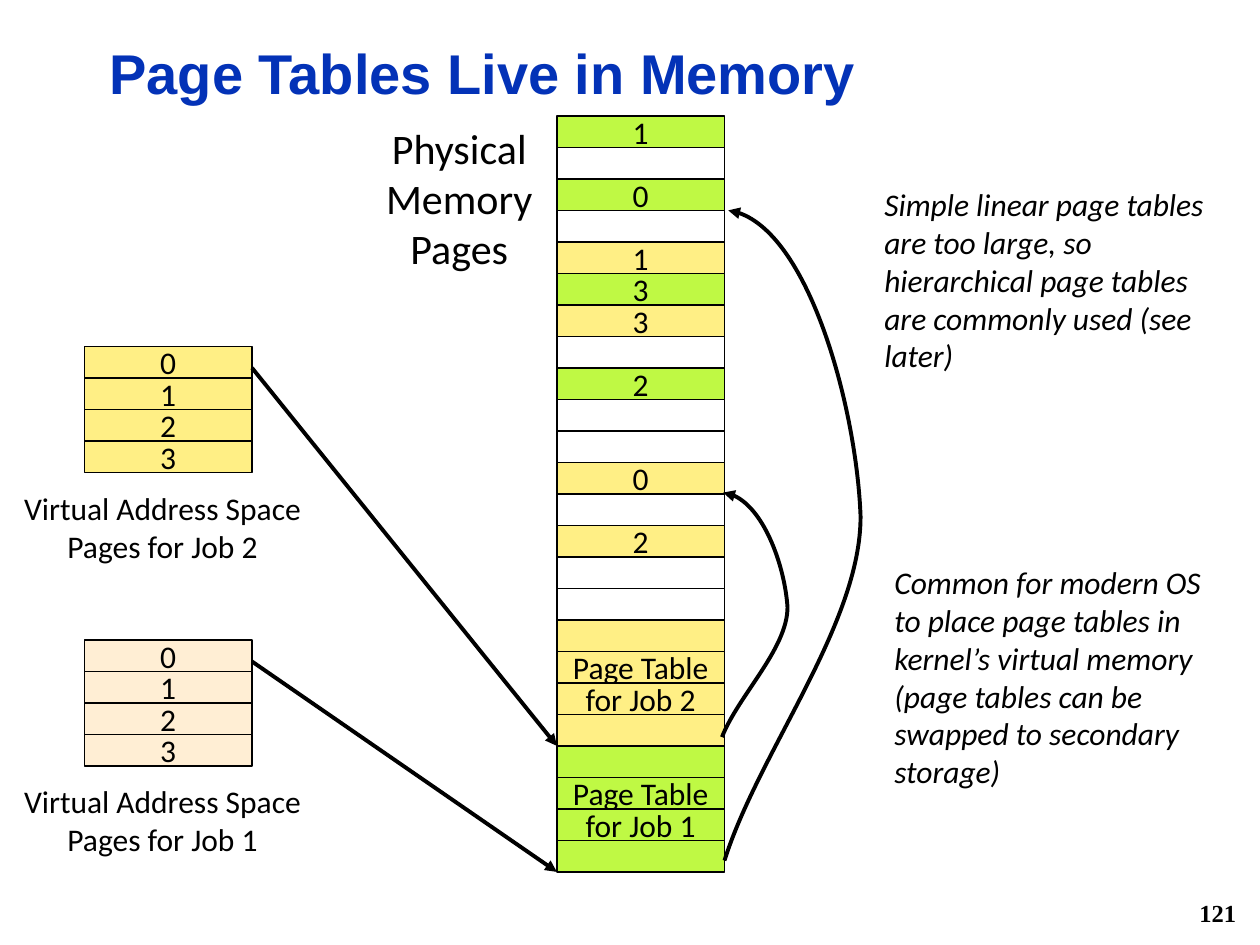
from dataclasses import dataclass

from lxml.etree import SubElement
from pptx import Presentation
from pptx.dml.color import RGBColor
from pptx.enum.shapes import MSO_CONNECTOR, MSO_SHAPE
from pptx.enum.text import MSO_ANCHOR, PP_ALIGN
from pptx.oxml.ns import qn
from pptx.util import Inches, Pt


@dataclass(frozen=True)
class Theme:
    black: RGBColor = RGBColor(0x00, 0x00, 0x00)
    white: RGBColor = RGBColor(0xFF, 0xFF, 0xFF)
    title: RGBColor = RGBColor(0x03, 0x32, 0xB7)
    job_1: RGBColor = RGBColor(0xBF, 0xF9, 0x44)
    job_2: RGBColor = RGBColor(0xFF, 0xEF, 0x85)
    job_1_virtual: RGBColor = RGBColor(0xFF, 0xEE, 0xD4)
    body_font: str = "Calibri"
    title_size: Pt = Pt(32)
    heading_size: Pt = Pt(24)
    body_size: Pt = Pt(18)
    number_size: Pt = Pt(14)
    cell_line: Pt = Pt(1)
    arrow_line: Pt = Pt(2.25)


THEME = Theme()
PAGE_WIDTH, PAGE_HEIGHT = 1.33, 0.25
MEMORY_LEFT, MEMORY_TOP = 4.42, 0.92
FREE = ("", THEME.white)
MEMORY_PAGES = [
    ("1", THEME.job_1), FREE, ("0", THEME.job_1), FREE,
    ("1", THEME.job_2), ("3", THEME.job_1), ("3", THEME.job_2), FREE,
    ("2", THEME.job_1), FREE, FREE, ("0", THEME.job_2),
    FREE, ("2", THEME.job_2), FREE, FREE,
]


def write_text(shape, lines, alignment=PP_ALIGN.LEFT, line_spacing=None, **font_format):
    values = {"name": THEME.body_font, "size": THEME.body_size, **font_format}
    color = values.pop("color", THEME.black)
    frame = shape.text_frame
    frame.text = "\n".join(lines)
    for paragraph in frame.paragraphs:
        paragraph.alignment = alignment
        paragraph.line_spacing = line_spacing
        paragraph.font.color.rgb = color
        for name, value in values.items():
            setattr(paragraph.font, name, value)


def add_text(slide, box, lines, anchor=MSO_ANCHOR.TOP, **text_format):
    shape = slide.shapes.add_textbox(*map(Inches, box))
    shape.text_frame.word_wrap = True
    shape.text_frame.vertical_anchor = anchor
    write_text(shape, lines, **text_format)


def add_pages(shapes, left, top, pages):
    """Stack one bordered page per (label, fill) pair downwards from left, top."""
    for index, (label, fill) in enumerate(pages):
        box = (left, top + index * PAGE_HEIGHT, PAGE_WIDTH, PAGE_HEIGHT)
        shape = shapes.add_shape(MSO_SHAPE.RECTANGLE, *map(Inches, box))
        shape.shadow.inherit = False
        shape.fill.solid()
        shape.fill.fore_color.rgb = fill
        shape.line.color.rgb = THEME.black
        shape.line.width = THEME.cell_line
        if label:
            frame_format = {"margin_left": 0, "margin_right": 0, "margin_top": 0,
                            "margin_bottom": 0, "word_wrap": False,
                            "vertical_anchor": MSO_ANCHOR.MIDDLE}
            for name, value in frame_format.items():
                setattr(shape.text_frame, name, value)
            write_text(shape, [label], PP_ALIGN.CENTER)


def add_virtual_space(slide, left, top, job, fill):
    pages = [(str(number), fill) for number in range(4)]
    add_pages(slide.shapes.add_group_shape().shapes, left, top, pages)
    add_text(slide, (left - 0.59, top + 1.08, 2.42, 0.7),
             [f"Virtual Address Space Pages for Job {job}"], alignment=PP_ALIGN.CENTER)


def add_physical_memory(slide, left, top):
    add_text(slide, (left - 1.67, top, 1.79, 1.31), ["Physical Memory", "Pages"],
             alignment=PP_ALIGN.CENTER, size=THEME.heading_size)
    add_pages(slide.shapes, left, top, MEMORY_PAGES)
    table_top = top + len(MEMORY_PAGES) * PAGE_HEIGHT
    for job, fill in ((2, THEME.job_2), (1, THEME.job_1)):
        labels = ["", "Page Table", f"for Job {job}", ""]
        add_pages(slide.shapes.add_group_shape().shapes, left, table_top,
                  [(label, fill) for label in labels])
        table_top += len(labels) * PAGE_HEIGHT


def style_arrow(shape):
    shape.line.color.rgb = THEME.black
    shape.line.width = THEME.arrow_line
    SubElement(shape.line._get_or_add_ln(), qn("a:tailEnd"), type="triangle")


def add_straight_arrow(slide, start, end):
    connector = slide.shapes.add_connector(
        MSO_CONNECTOR.STRAIGHT, *map(Inches, (*start, *end)))
    style_arrow(connector)
    SubElement(connector._element.spPr, qn("a:effectLst"))


def add_curved_arrow(slide, start, *controls):
    """Draw cubic curves; each three controls are two handles and an end point."""
    points = [(Inches(x), Inches(y)) for x, y in controls]
    builder = slide.shapes.build_freeform(*map(Inches, start))
    builder.add_line_segments(points, close=False)
    shape = builder.convert_to_shape()
    segments = list(shape._element.iter(qn("a:lnTo")))
    for first in range(0, len(segments), 3):
        curve = SubElement(segments[first].getparent(), qn("a:cubicBezTo"))
        for segment in segments[first:first + 3]:
            curve.append(segment[0])
            segment.getparent().remove(segment)
    shape.shadow.inherit = False
    shape.fill.background()
    style_arrow(shape)


def add_arrows(slide):
    add_straight_arrow(slide, (2, 2.92), (MEMORY_LEFT, 5.92))
    add_straight_arrow(slide, (2, 5.25), (MEMORY_LEFT, 6.92))
    add_curved_arrow(slide, (5.73, 5.85), (5.86, 5.52), (6.25, 5.15), (6.25, 4.82),
                     (6.23, 4.51), (6.04, 3.94), (5.74, 3.91))
    add_curved_arrow(slide, (5.75, 6.83), (6.02, 5.97), (6.83, 4.96), (6.83, 4.1),
                     (6.8, 3.26), (6.4, 1.75), (5.78, 1.67))


def add_notes_column(slide):
    add_text(slide, (6.92, 1.42, 2.75, 1.61),
             ["Simple linear page tables are too large, so hierarchical page tables "
              "are commonly used (see later)"], italic=True)
    add_text(slide, (7, 4.42, 2.75, 1.92),
             ["Common for modern OS to place page tables in kernel’s virtual memory "
              "(page tables can be swapped to secondary storage)"], italic=True)


def main():
    presentation = Presentation()
    presentation.slide_width, presentation.slide_height = Inches(10), Inches(7.5)
    slide = presentation.slides.add_slide(presentation.slide_layouts[6])
    add_text(slide, (0.77, 0.2, 7.98, 0.81), ["Page Tables Live in Memory"],
             MSO_ANCHOR.MIDDLE, line_spacing=0.9, name="Arial",
             size=THEME.title_size, color=THEME.title, bold=True)
    add_text(slide, (7.83, 7.08, 2.08, 0.32), ["121"], MSO_ANCHOR.MIDDLE,
             alignment=PP_ALIGN.RIGHT, name="Times New Roman",
             size=THEME.number_size, bold=True)
    add_virtual_space(slide, 0.67, 5.08, 1, THEME.job_1_virtual)
    add_physical_memory(slide, MEMORY_LEFT, MEMORY_TOP)
    add_virtual_space(slide, 0.67, 2.75, 2, THEME.job_2)
    add_arrows(slide)
    add_notes_column(slide)
    presentation.save("out.pptx")


if __name__ == "__main__":
    main()
